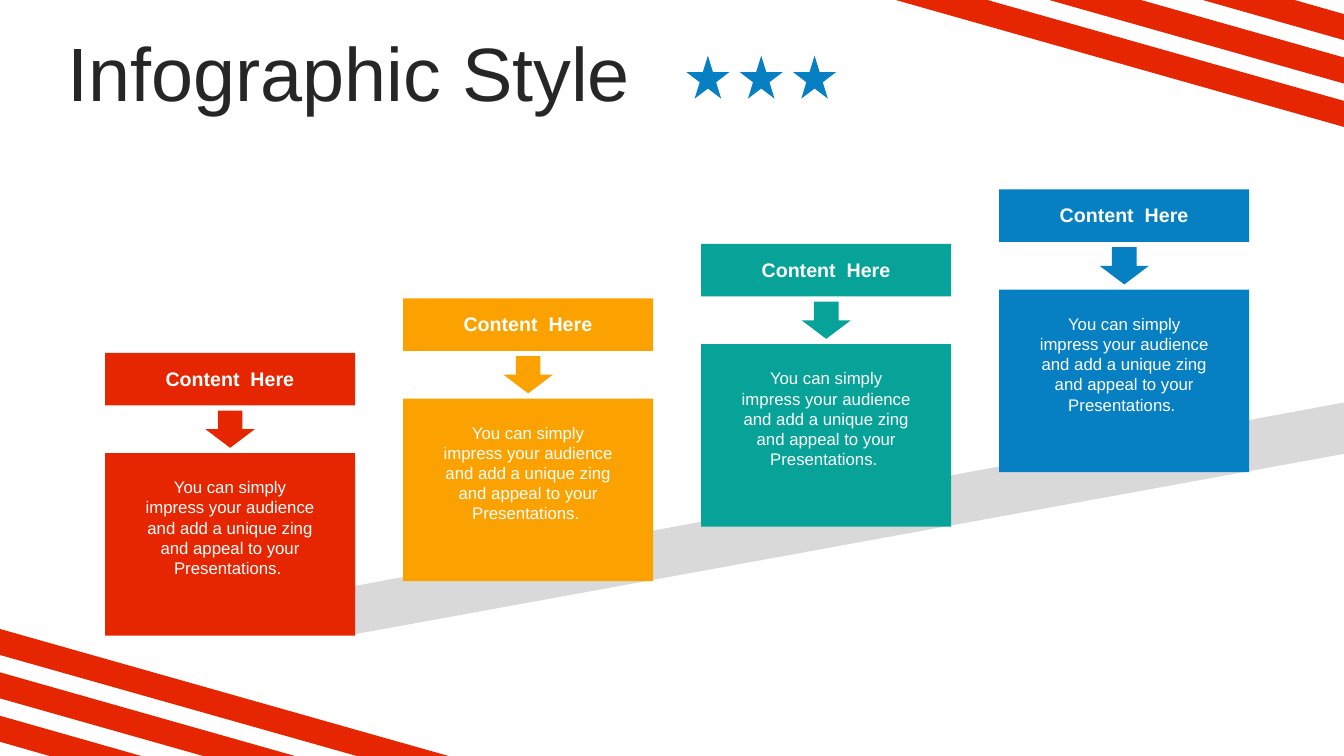
from pptx import Presentation
from pptx.dml.color import RGBColor
from pptx.enum.shapes import MSO_SHAPE
from pptx.enum.text import MSO_ANCHOR, PP_ALIGN
from pptx.util import Pt

RECTANGLE = MSO_SHAPE.RECTANGLE
DOWN_ARROW = MSO_SHAPE.DOWN_ARROW
STAR = MSO_SHAPE.STAR_5_POINT
TOP, MIDDLE = MSO_ANCHOR.TOP, MSO_ANCHOR.MIDDLE
LEFT, CENTER = PP_ALIGN.LEFT, PP_ALIGN.CENTER

WIDTH, HEIGHT = 960, 540
COLORS = {
    "red": "E62601",
    "orange": "FBA200",
    "teal": "07A398",
    "blue": "0680C3",
    "ramp": "D9D9D9",
    "title": "262626",
    "white": "FFFFFF",
}
HEADING = "Content  Here"
BODY = ("You can simply impress your audience and add a unique zing "
        "and appeal to your Presentations. ")


class SlideBuilder:
    """Draws elements on one slide, with all lengths in points."""

    def __init__(self, slide, font="Arial"):
        self.slide = slide
        self.font = font

    def _paint(self, shape, color):
        shape.shadow.inherit = False
        shape.fill.solid()
        shape.fill.fore_color.rgb = RGBColor.from_string(COLORS[color])
        shape.line.fill.background()

    def shape(self, kind, left, top, width, height, color):
        box = (Pt(value) for value in (left, top, width, height))
        self._paint(self.slide.shapes.add_shape(kind, *box), color)

    def outline(self, polygons, color):
        """Draw one freeform made of several closed polygons."""
        contours = [[(Pt(x), Pt(y)) for x, y in polygon] for polygon in polygons]
        first, *others = contours
        builder = self.slide.shapes.build_freeform(*first[0], scale=1.0)
        builder.add_line_segments(first[1:], close=True)
        for contour in others:
            builder.move_to(*contour[0])
            builder.add_line_segments(contour[1:], close=True)
        self._paint(builder.convert_to_shape(), color)

    def text(self, words, left, top, width, height, size, color="white",
             bold=False, align=CENTER, anchor=TOP, spacing=1.0):
        box = (Pt(value) for value in (left, top, width, height))
        frame = self.slide.shapes.add_textbox(*box).text_frame
        frame.word_wrap = True
        frame.vertical_anchor = anchor
        frame.text = words
        paragraph = frame.paragraphs[0]
        paragraph.alignment = align
        paragraph.line_spacing = spacing
        font = paragraph.runs[0].font
        font.name = self.font
        font.size = Pt(size)
        font.bold = bold
        font.color.rgb = RGBColor.from_string(COLORS[color])

    def card(self, left, top, color):
        self.shape(RECTANGLE, left, top, 178.6, 37.5, color)
        self.shape(RECTANGLE, left, top + 71.6, 178.6, 130.4, color)
        self.shape(DOWN_ARROW, left + 71.8, top + 41.3, 35.2, 26.6, color)
        self.text(HEADING, left + 32, top + 6, 114.5, 24.5, 14,
                  bold=True, anchor=MIDDLE)
        self.text(BODY, left + 21.3, top + 85.2, 136.1, 80, 12)


def corner_stripes():
    """Return the three diagonal stripes of the bottom left corner."""
    stripes = []
    for index in range(3):
        top, right = 449.3 + 31 * index, 320.3 - 109.7 * index
        stripes.append([(0, top), (right, HEIGHT),
                        (right - 65.5, HEIGHT), (0, top + 18.6)])
    return stripes


def main():
    presentation = Presentation()
    presentation.slide_width = Pt(WIDTH)
    presentation.slide_height = Pt(HEIGHT)
    blank = presentation.slide_layouts[6]
    builder = SlideBuilder(presentation.slides.add_slide(blank))

    bottom_left = corner_stripes()
    top_right = [[(WIDTH - x, HEIGHT - y) for x, y in stripe]
                 for stripe in bottom_left]
    builder.outline(bottom_left, "red")
    builder.outline(top_right, "red")

    builder.text("Infographic Style", 41, 26.6, 870, 57, 54, "title",
                 align=LEFT, anchor=MIDDLE, spacing=0.9)
    for index in range(3):
        builder.shape(STAR, 490.3 + 38.1 * index, 39.8, 30.7, 30.7, "blue")

    ramp = [(76.3, 451.4), (254.2, 452.9), (WIDTH, 324.2), (WIDTH, 287.5)]
    builder.outline([ramp], "ramp")
    for index, color in enumerate(("red", "orange", "teal", "blue")):
        builder.card(75 + 212.9 * index, 252 - 38.9 * index, color)

    presentation.save("out.pptx")


if __name__ == "__main__":
    main()
